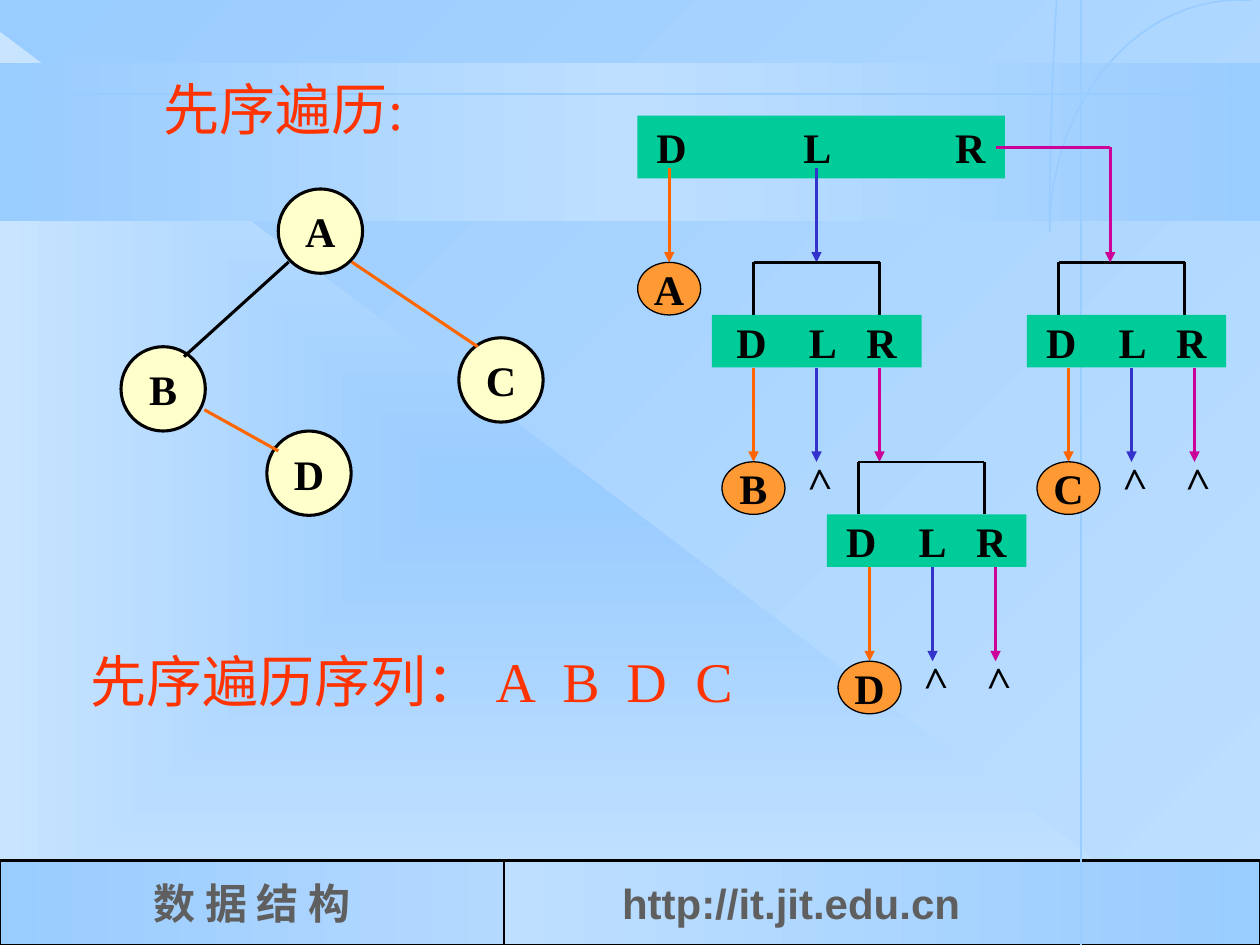
"""Build the slide on preorder traversal of a binary tree."""
import math

import pptx
import pptx.dml.color
import pptx.enum.dml
import pptx.enum.shapes
import pptx.enum.text
import pptx.oxml.ns
import pptx.util
from lxml import etree

Cm, Pt = pptx.util.Cm, pptx.util.Pt
RGBColor = pptx.dml.color.RGBColor
Kind = pptx.enum.shapes.MSO_SHAPE
Align = pptx.enum.text.PP_ALIGN
Anchor = pptx.enum.text.MSO_ANCHOR
qn = pptx.oxml.ns.qn

SKY = RGBColor(0x99, 0xCC, 0xFF)
PALE = RGBColor(0xBE, 0xDF, 0xFF)
MIST = RGBColor(0xC8, 0xE4, 0xFF)
HAZE = RGBColor(0xB4, 0xD9, 0xFF)
BLACK = RGBColor(0x00, 0x00, 0x00)
GRAY = RGBColor(0x5F, 0x5F, 0x5F)
RED = RGBColor(0xFF, 0x33, 0x00)
CREAM = RGBColor(0xFF, 0xFF, 0xCC)
AMBER = RGBColor(0xFF, 0x99, 0x33)
GREEN = RGBColor(0x00, 0xCC, 0x99)
ORANGE = RGBColor(0xFF, 0x66, 0x00)
BLUE = RGBColor(0x33, 0x33, 0xCC)
MAGENTA = RGBColor(0xCC, 0x00, 0x99)

WIDTH, HEIGHT = 25.4, 19.05
LABEL = {"name": "Times New Roman", "size": Pt(24), "bold": True}
ADDRESS = {**LABEL, "name": "Arial"}
HEADING = {**LABEL, "size": Pt(32), "bold": False}

NODES = [("A", 5.61, 3.81), ("D", 5.38, 8.69), ("B", 2.44, 6.99), ("C", 9.25, 6.81)]
NODE_SIZE = 1.7
EDGES = [
    (5.82, 5.28, 3.71, 7.19, BLACK),
    (7.09, 5.28, 9.63, 6.99, ORANGE),
    (4.12, 8.26, 5.61, 9.09, ORANGE),
]

ORDER = "D\tL\tR"
ROOT_TABS, CALL_TABS = (2.96, 6.02), (1.46, 2.62)
LETTER = 0.62
CALLS = [
    {"bracket": 15.19, "top": 5.29, "left": 14.35, "width": 4.23, "column": 15.19, "visit": "B", "nulls": 1},
    {"bracket": 17.3, "top": 9.31, "left": 16.67, "width": 4.02, "column": 17.53, "visit": "D", "nulls": 2},
    {"bracket": 21.34, "top": 5.29, "left": 20.7, "width": 4.02, "column": 21.54, "visit": "C", "nulls": 2},
]
BRACKET, STEP, ROW, DROP = 2.54, 1.27, 1.06, 1.9

HEADINGS = [
    ("先序遍历序列：\tA\tB\tD\tC", 1.57, 12.9, 13.51, (8.17, 9.52, 10.81, 12.2)),
    ("先序遍历:", 3.05, 1.37, 5.61, ()),
]

deck = pptx.Presentation()
deck.slide_width, deck.slide_height = Cm(WIDTH), Cm(HEIGHT)
page = deck.slides.add_slide(deck.slide_layouts[6])


def shade(fill, element, colours, angle=0, centred=False):
    """Fill with evenly spaced gradient stops, linear or from the centre."""
    fill.gradient()
    gradient = element.find(".//" + qn("a:gradFill"))
    for child in list(gradient):
        gradient.remove(child)
    stops = etree.SubElement(gradient, qn("a:gsLst"))
    for index, colour in enumerate(colours):
        place = str(100000 * index // (len(colours) - 1))
        stop = etree.SubElement(stops, qn("a:gs"), pos=place)
        etree.SubElement(stop, qn("a:srgbClr"), val=str(colour))
    if centred:
        way = etree.SubElement(gradient, qn("a:path"), path="rect")
        etree.SubElement(way, qn("a:fillToRect"), l="50000", t="50000", r="50000", b="50000")
    else:
        etree.SubElement(gradient, qn("a:lin"), ang=str(angle * 60000), scaled="0")


def add_shape(kind, left, top, width, height, fill=None, border=0):
    """Add a flat shape with an optional solid fill and black border."""
    shape = page.shapes.add_shape(kind, Cm(left), Cm(top), Cm(width), Cm(height))
    shape.shadow.inherit = False
    if fill is not None:
        shape.fill.solid()
        shape.fill.fore_color.rgb = fill
    if border:
        shape.line.color.rgb, shape.line.width = BLACK, Pt(border)
    else:
        shape.line.fill.background()
    return shape


def add_line(x1, y1, x2, y2, colour=BLACK, width=1.5, arrow=False):
    """Add a straight line, with an arrowhead at its end if asked."""
    line = page.shapes.add_connector(
        pptx.enum.shapes.MSO_CONNECTOR.STRAIGHT, Cm(x1), Cm(y1), Cm(x2), Cm(y2))
    line.line.color.rgb, line.line.width = colour, Pt(width)
    if arrow:
        etree.SubElement(line.line._get_or_add_ln(), qn("a:tailEnd"), type="triangle")
    etree.SubElement(line._element.spPr, qn("a:effectLst"))


def write(shape, text, look=LABEL, colour=BLACK, inset=None, tabs=(), anchor=Anchor.MIDDLE):
    """Write one line, centred unless a left inset is given."""
    frame, centred = shape.text_frame, inset is None
    settings = {"word_wrap": not centred, "vertical_anchor": anchor, "margin_left": Cm(inset or 0),
                "margin_right": 0, "margin_top": Cm(0.13), "margin_bottom": Cm(0.13)}
    for name, value in settings.items():
        setattr(frame, name, value)
    para = frame.paragraphs[0]
    para.alignment = Align.CENTER if centred else Align.LEFT
    if tabs:
        stops = etree.SubElement(para._p.get_or_add_pPr(), qn("a:tabLst"))
        for tab in tabs:
            etree.SubElement(stops, qn("a:tab"), pos=str(Cm(tab)), algn="l")
    span = para.add_run()
    span.text = text
    for name, value in look.items():
        setattr(span.font, name, value)
    span.font.color.rgb = colour


def add_order(left, top, width, height, tabs):
    """Add a green bar that holds the visiting order."""
    bar = add_shape(Kind.RECTANGLE, left, top, width, height, GREEN)
    write(bar, ORDER, inset=(width - tabs[-1] - LETTER) / 2, tabs=tabs)


def add_visit(text, column, top):
    """Add a visited node centred on its column."""
    write(add_shape(Kind.OVAL, column - STEP / 2, top, STEP, ROW, AMBER, 0.75), text)


def add_null(column, top):
    """Add the turned sign for an empty subtree."""
    box = page.shapes.add_textbox(Cm(column - 0.53), Cm(top - 0.32), Cm(1.07), Cm(1.27))
    write(box, ">", inset=0.25, anchor=Anchor.TOP)
    box.rotation = 268.3


def add_call(bracket, top, left, width, column, visit, nulls):
    """Add one recursive call: bracket, order bar, arrows and results."""
    right, bar_top = bracket + BRACKET, top + ROW
    add_line(bracket, top, right, top)
    for side in (bracket, right):
        add_line(side, top, side, bar_top)
    add_order(left, bar_top, width, ROW, CALL_TABS)
    start = bar_top + ROW
    for index, colour in enumerate((ORANGE, BLUE, MAGENTA)):
        place = column + index * STEP
        add_line(place, start, place, start + DROP, colour, arrow=True)
        if 0 < index <= nulls:
            add_null(place, start + DROP)
    add_visit(visit, column, start + DROP)


def add_backdrop():
    """Draw the gradients, guide lines, curve and footer."""
    shade(page.background.fill, page._element, (SKY, PALE), 45)
    triangle = add_shape(Kind.RIGHT_TRIANGLE, 0, 0.64, 24.33, 18.41)
    shade(triangle.fill, triangle._element, (SKY, MIST), centred=True)
    band = add_shape(Kind.RECTANGLE, 0, 1.27, WIDTH, 3.18)
    shade(band.fill, band._element, (SKY, PALE, SKY))
    footer = [
        (0, 10.16, (SKY, HAZE), "数 据 结 构", LABEL, None),
        (10.16, 15.24, (PALE, SKY), "http://it.jit.edu.cn", ADDRESS, 2.38),
    ]
    for left, width, colours, text, look, inset in footer:
        cell = add_shape(Kind.RECTANGLE, left, 17.35, width, 1.7, border=1.5)
        shade(cell.fill, cell._element, colours)
        write(cell, text, look, GRAY, inset)
    add_line(0, 1.9, WIDTH, 1.9, SKY, 1)
    add_line(21.79, 0, 21.79, HEIGHT, SKY, 1.5)
    steps = [index / 24 for index in range(25)]
    points = [(21.16 + 0.14 * (1 - s) ** 2, 4.67 * s) for s in steps]
    points += [(24.99 - 3.83 * math.cos(a), 4.67 - 4.67 * math.sin(a))
               for a in (1.63 * s for s in steps)]
    points = [(Cm(x), Cm(y)) for x, y in points]
    builder = page.shapes.build_freeform(*points[0])
    builder.add_line_segments(points[1:], close=False)
    curve = builder.convert_to_shape()
    curve.shadow.inherit = False
    curve.fill.background()
    curve.line.color.rgb, curve.line.width = SKY, Pt(1)


add_backdrop()
for text, left, top in NODES:
    write(add_shape(Kind.OVAL, left, top, NODE_SIZE, NODE_SIZE, CREAM, 1.75), text)
for x1, y1, x2, y2, colour in EDGES:
    add_line(x1, y1, x2, y2, colour, 1.75)

add_order(12.85, 2.33, 7.41, 1.27, ROOT_TABS)
for column, colour in ((13.49, ORANGE), (16.46, BLUE)):
    add_line(column, 3.39, column, 5.29, colour, arrow=True)
add_visit("A", 13.49, 5.29)
add_line(20.07, 2.97, 22.38, 2.97, MAGENTA)
for call in CALLS:
    add_call(**call)
add_line(22.38, 2.97, 22.38, 5.29, MAGENTA, arrow=True)

for text, left, top, width, tabs in HEADINGS:
    box = page.shapes.add_textbox(Cm(left), Cm(top), Cm(width), Cm(1.63))
    write(box, text, HEADING, RED, 0.25, tabs, Anchor.TOP)

deck.save("out.pptx")
